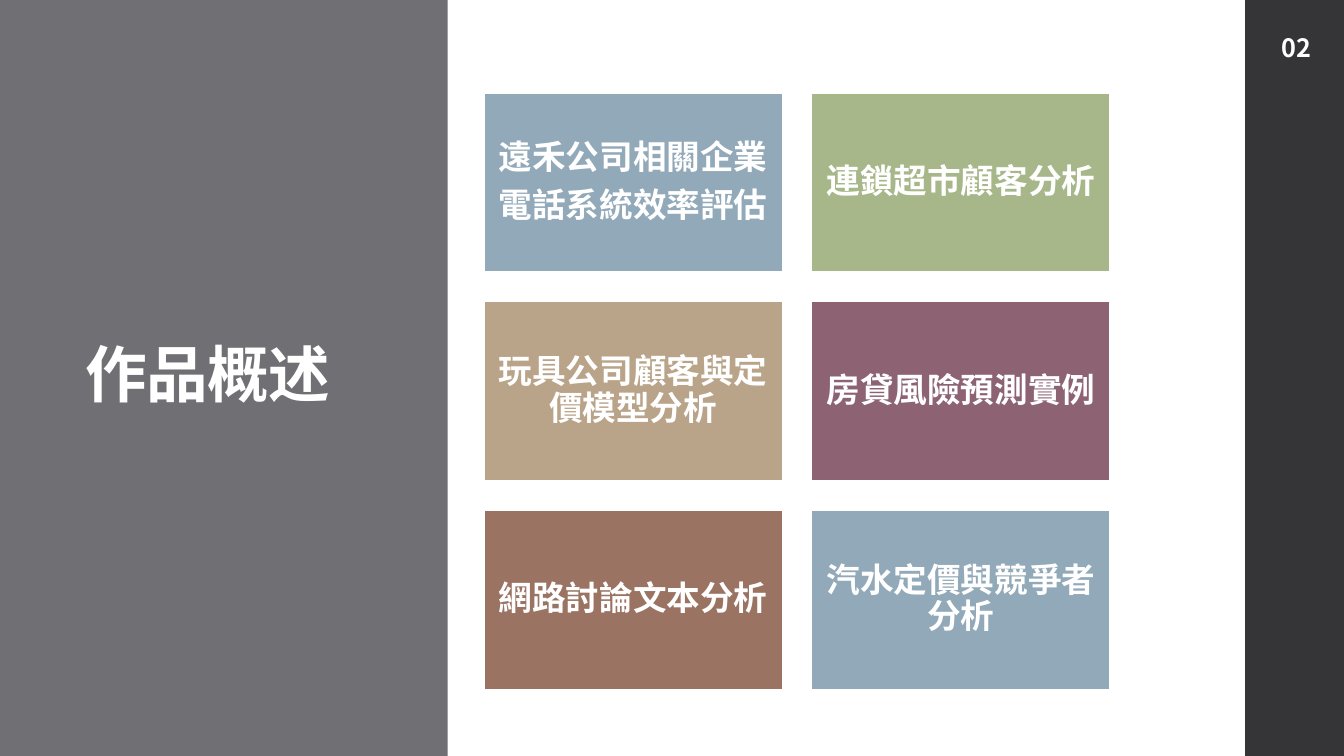
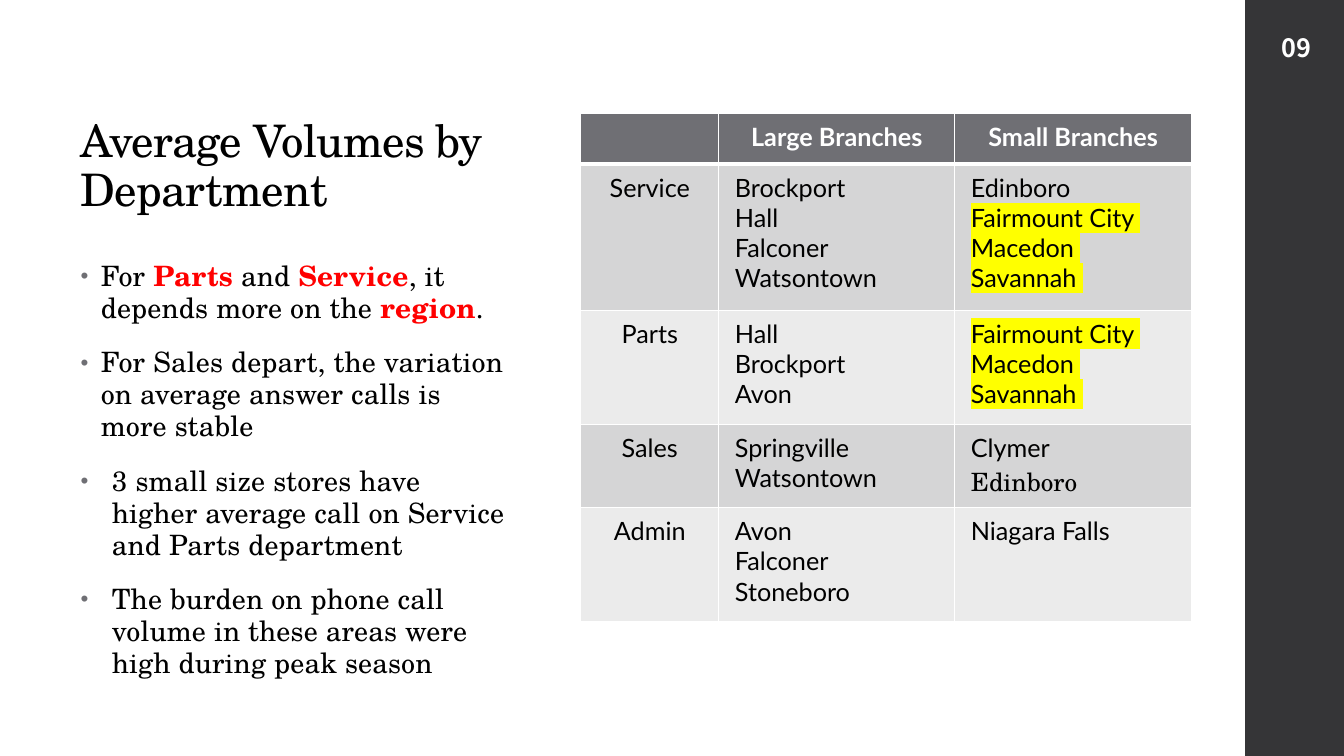
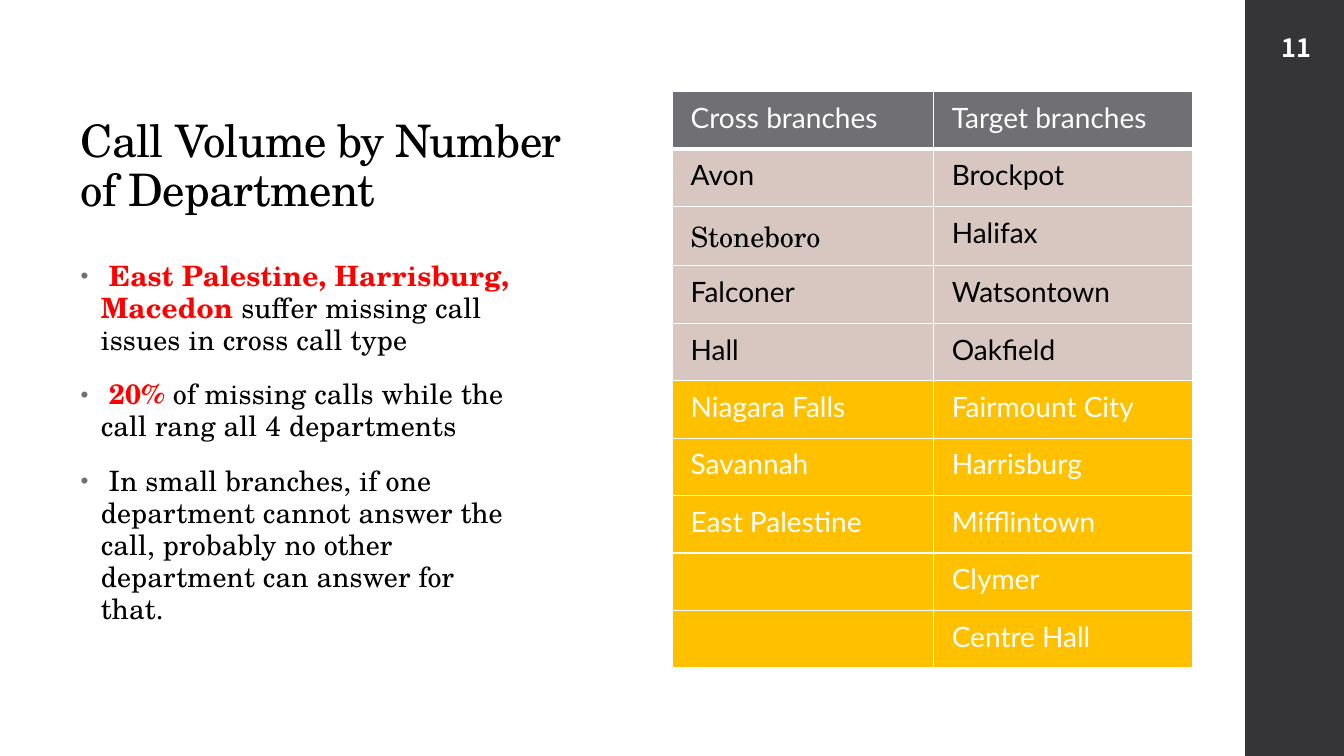
"""Build three slides: a project overview and two branch call reports."""
from dataclasses import dataclass

from lxml import etree
from pptx import Presentation
from pptx.dml.color import RGBColor
from pptx.enum.shapes import MSO_SHAPE as Shape
from pptx.enum.text import MSO_ANCHOR as Anchor, MSO_AUTO_SIZE as Fit, PP_ALIGN as Align
from pptx.oxml import parse_xml
from pptx.oxml.ns import nsdecls, qn
from pptx.util import Inches, Pt


@dataclass(frozen=True)
class Theme:
    """Colours, faces and type sizes of the deck."""
    white: str = "FFFFFF"
    black: str = "000000"
    gray: str = "6F6F74"
    dark: str = "353537"
    red: str = "FF0000"
    glow: str = "FFFF00"
    gold: str = "FFC000"
    blush: str = "D7C7C0"
    bands: tuple = ("D5D5D6", "EBEBEB")
    tiles: tuple = ("92A9B9", "A7B789", "B9A489", "8D6374", "9B7362", "92A9B9")
    serif: str = "TeX Gyre Schola"
    sans: str = "Lato"
    hans: str = "Noto Sans CJK SC"
    hant: str = "Noto Sans CJK TC"
    cover: int = 44
    head: int = 32
    tile: int = 24
    body: int = 20
    small: int = 18


T = Theme()
WIDE, HIGH, EDGE = 13.33, 7.5, 12.35

TOPICS = [
    ["遠禾公司相關企業", "電話系統效率評估"],
    ["連鎖超市顧客分析"],
    ["玩具公司顧客與定價模型分析"],
    ["房貸風險預測實例"],
    ["網路討論文本分析"],
    ["汽水定價與競爭者分析"],
]

REPORTS = [
    {
        "page": "09",
        "title": "Average Volumes by Department",
        "wide": (4.44, 4.44),
        "points": [
            (0.2, "For *Parts* and *Service*, it depends more on the *region*."),
            (0.2, "For Sales depart, the variation on average answer calls is more stable"),
            (0.31, "3 small size stores have higher average call on Service and Parts department"),
            (0.31, "The burden on phone call volume in these areas were high during peak season"),
        ],
        "at": (5.76, 1.13),
        "cols": [1.37, 2.34, 2.35],
        "rows": [0.5, 1.45, 1.13, 0.82, 1.13],
        "pad": (0.16, 0.08),
        "size": T.small,
        "bold": True,
        "mid": True,
        "fills": T.bands * 2,
        "marks": {"Fairmount City", "Macedon", "Savannah"},
        "serif": (3, 2, 1),
        "cells": [
            ["", "Large Branches", "Small Branches"],
            ["Service", "Brockport\nHall\nFalconer\nWatsontown",
             "Edinboro\nFairmount City\nMacedon\nSavannah"],
            ["Parts", "Hall\nBrockport\nAvon", "Fairmount City\nMacedon\nSavannah"],
            ["Sales", "Springville Watsontown", "Clymer\nEdinboro"],
            ["Admin", "Avon\nFalconer\nStoneboro", "Niagara Falls"],
        ],
    },
    {
        "page": "11",
        "title": "Call Volume by Number of Department",
        "wide": (4.98, 4.52),
        "points": [
            (0.2, "* East Palestine, Harrisburg, Macedon* suffer missing call issues in cross call type"),
            (0.2, "* 20%* of missing calls while the call rang all 4 departments"),
            (0.2, " In small branches, if one department cannot answer the call, "
                  "probably no other department can answer for that."),
        ],
        "at": (6.67, 0.91),
        "cols": [2.59, 2.57],
        "rows": [0.57] * 10,
        "pad": (0.18, 0.09),
        "size": T.body,
        "bold": False,
        "mid": False,
        "fills": (T.blush,) * 4 + (T.gold,) * 5,
        "marks": set(),
        "serif": (2, 0, 0),
        "cells": [
            ["Cross branches", "Target branches"],
            ["Avon", "Brockpot"],
            ["Stoneboro", "Halifax"],
            ["Falconer", "Watsontown"],
            ["Hall", "Oakfield"],
            ["Niagara Falls", "Fairmount City"],
            ["Savannah", "Harrisburg"],
            ["East Palestine", "Mifflintown"],
            ["", "Clymer"],
            ["", "Centre Hall"],
        ],
    },
]


def rgb(code):
    return RGBColor.from_string(code)


def style(para, size, face, color, bold=False, track=0):
    font = para.font
    font.size, font.name, font.bold = Pt(size), face, bold
    font.color.rgb = rgb(color)
    props = para._p.pPr.find(qn("a:defRPr"))
    etree.SubElement(props, qn("a:ea"), typeface=face)
    if track:
        props.set("spc", str(round(track * 100)))


def place(shape, x, y, w, h):
    shape.left, shape.top = Inches(x), Inches(y)
    shape.width, shape.height = Inches(w), Inches(h)


def block(slide, x, y, w, h, color):
    shape = slide.shapes.add_shape(Shape.RECTANGLE, Inches(x), Inches(y), Inches(w), Inches(h))
    shape.shadow.inherit = False
    shape.fill.solid()
    shape.fill.fore_color.rgb = rgb(color)
    shape.line.fill.background()
    return shape


def add_band(deck, slide):
    band = block(slide, EDGE, 0, WIDE - EDGE, HIGH, T.dark).element
    band.nvSpPr.cNvPr.set("id", "20")
    deck.slide_master.element.cSld.spTree.insert(2, band)


def add_title(slide, text, spot, anchor, size, face, color, bold=False):
    title = slide.shapes.title
    place(title, *spot)
    frame = title.text_frame
    frame.text = text
    frame.auto_size, frame.vertical_anchor = Fit.NONE, anchor
    para = frame.paragraphs[0]
    para.alignment, para.line_spacing = Align.LEFT, 0.9
    style(para, size, face, color, bold, -0.5)


def add_page(slide, text):
    box = slide.shapes.add_textbox(Inches(12.61), Inches(0.27), Inches(0.51), Inches(0.4))
    frame = box.text_frame
    frame.word_wrap = True
    frame.text = text
    style(frame.paragraphs[0], T.small, T.hans, T.white, True)


def add_tile(slide, num, lines):
    row, col = divmod(num, 2)
    tile = block(slide, 4.8 + 3.25 * col, 0.92 + 2.07 * row, 2.96, 1.78, T.tiles[num])
    tile.line.color.rgb, tile.line.width = rgb(T.white), Pt(1.1)
    frame = tile.text_frame
    frame.margin_top = frame.margin_bottom = Inches(0.1)
    frame.text = "\n".join(lines)
    for para in frame.paragraphs:
        para.alignment, para.line_spacing = Align.CENTER, 0.9
        para.space_after = Pt(0.35 * T.tile)
        style(para, T.tile, T.hant, T.white, True)


def add_points(slide, points, wide):
    body = slide.placeholders[1]
    place(body, 0.7, 2.54, wide, 4.27)
    frame = body.text_frame
    frame.auto_size = Fit.NONE
    for num, (indent, text) in enumerate(points):
        para = frame.add_paragraph() if num else frame.paragraphs[0]
        para.line_spacing, para.space_before, para.space_after = 0.95, Pt(14), Pt(2)
        props = para._p.get_or_add_pPr()
        props.set("marL", str(Inches(indent)))
        props.set("indent", str(-Inches(indent)))
        color = etree.SubElement(props, qn("a:buClr"))
        etree.SubElement(color, qn("a:srgbClr"), val=T.gray)
        etree.SubElement(props, qn("a:buSzPct"), val="80000")
        etree.SubElement(props, qn("a:buChar"), char="•")
        style(para, T.body, T.serif, T.black, track=0.1)
        for part, words in enumerate(text.split("*")):
            if words:
                run = para.add_run()
                run.text = words
                if part % 2:
                    run.font.bold, run.font.color.rgb = True, rgb(T.red)


def add_edges(cell, row):
    props = cell._tc.get_or_add_tcPr()
    widths = {"L": 1, "R": 1, "T": 3 if row == 1 else 1, "B": 1 if row else 3}
    for num, (side, width) in enumerate(widths.items()):
        props.insert(num, parse_xml(
            f'<a:ln{side} {nsdecls("a")} w="{Pt(width)}"><a:solidFill>'
            f'<a:srgbClr val="{T.white}"/></a:solidFill></a:ln{side}>'))


def add_glow(para):
    run = para.runs[0]
    run.text += " "
    glow = etree.SubElement(run._r.get_or_add_rPr(), qn("a:highlight"))
    etree.SubElement(glow, qn("a:srgbClr"), val=T.glow)


def fill_cell(cell, text, row, col, data):
    fill = data["fills"][row - 1] if row else T.gray
    ink = T.white if fill in (T.gray, T.gold) else T.black
    cell.fill.solid()
    cell.fill.fore_color.rgb = rgb(fill)
    add_edges(cell, row)
    side, top = map(Inches, data["pad"])
    cell.margin_left = cell.margin_right = side
    cell.margin_top = cell.margin_bottom = top
    cell.text_frame.text = text
    mid = data["mid"] and (row == 0 or col == 0)
    for num, para in enumerate(cell.text_frame.paragraphs):
        para.alignment = Align.CENTER if mid else Align.LEFT
        face = T.serif if (row, col, num) == data["serif"] else T.sans
        style(para, data["size"], face, ink, data["bold"] and row == 0)
        if para.text in data["marks"]:
            add_glow(para)


def add_grid(slide, data):
    cols, rows = data["cols"], data["rows"]
    x, y = data["at"]
    grid = slide.shapes.add_table(len(rows), len(cols), Inches(x), Inches(y),
                                  Inches(sum(cols)), Inches(sum(rows))).table
    for col, width in enumerate(cols):
        grid.columns[col].width = Inches(width)
    for row, high in enumerate(rows):
        grid.rows[row].height = Inches(high)
        for col, text in enumerate(data["cells"][row]):
            fill_cell(grid.cell(row, col), text, row, col, data)


def main():
    deck = Presentation()
    deck.slide_width, deck.slide_height = Inches(WIDE), Inches(HIGH)
    slide = deck.slides.add_slide(deck.slide_layouts[5])
    add_band(deck, slide)
    panel = block(slide, 0, 0, 4.44, HIGH, T.gray).element
    panel.getparent().insert(2, panel)
    add_title(slide, " 作品概述", (0.62, 0.91, 2.97, 5.67), Anchor.MIDDLE,
              T.cover, T.hans, T.white, True)
    add_page(slide, "02")
    for num, lines in enumerate(TOPICS):
        add_tile(slide, num, lines)
    for data in REPORTS:
        slide = deck.slides.add_slide(deck.slide_layouts[1])
        head, body = data["wide"]
        add_title(slide, data["title"], (0.7, 0.7, head, 1.49), Anchor.BOTTOM,
                  T.head, T.serif, T.black)
        add_points(slide, data["points"], body)
        add_grid(slide, data)
        add_page(slide, data["page"])
    deck.save("out.pptx")


if __name__ == "__main__":
    main()
